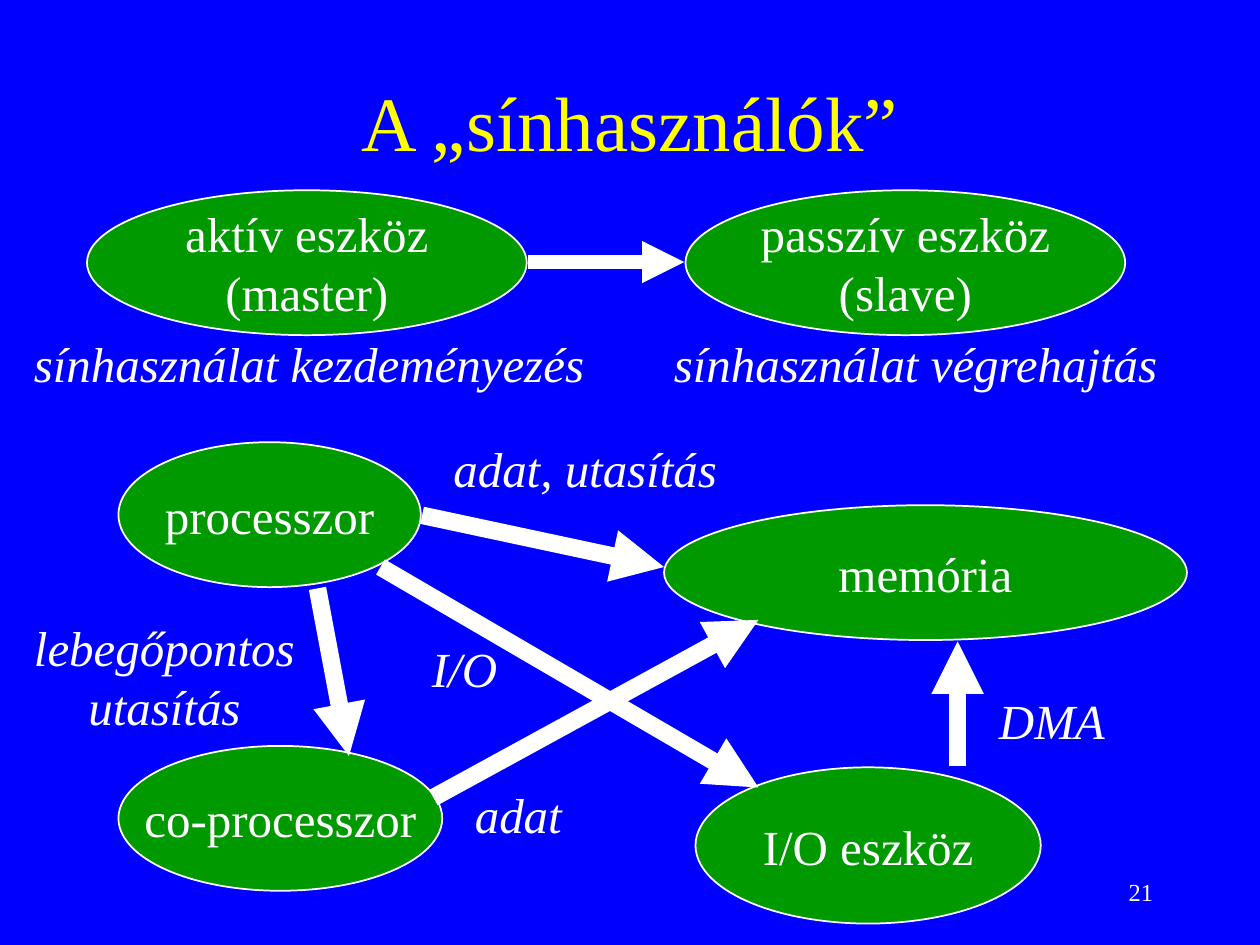
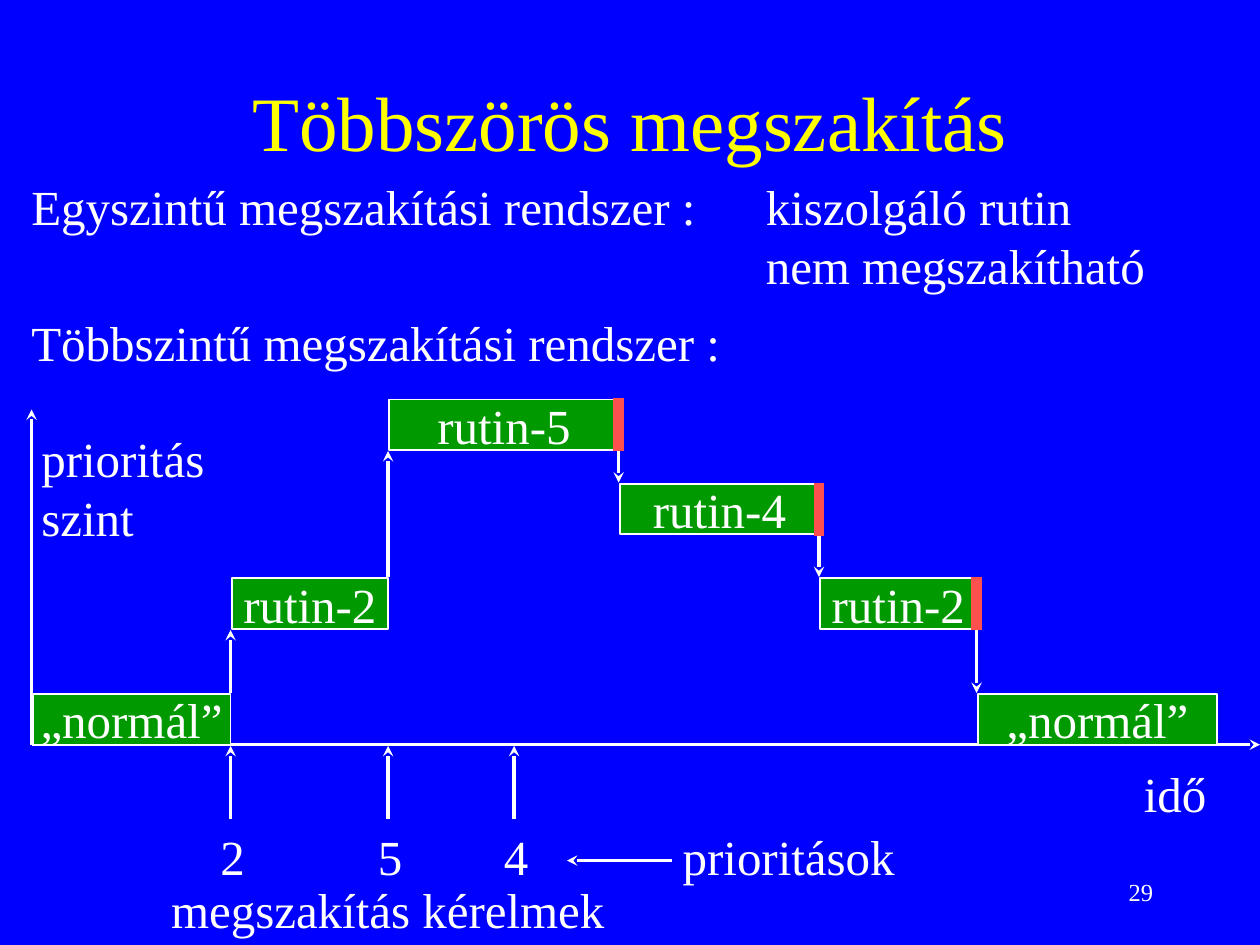
from dataclasses import dataclass
from itertools import pairwise
from typing import NamedTuple

from lxml.etree import SubElement
from pptx import Presentation
from pptx.dml.color import RGBColor
from pptx.enum.shapes import MSO_CONNECTOR as Connector, MSO_SHAPE as ShapeKind
from pptx.enum.text import MSO_ANCHOR as Anchor, MSO_AUTO_SIZE as AutoSize, PP_ALIGN as Align
from pptx.oxml.ns import qn
from pptx.shapes.autoshape import Shape
from pptx.slide import Slide
from pptx.util import Inches, Pt


@dataclass(frozen=True)
class Theme:
    font: str = "Times New Roman"
    background: RGBColor = RGBColor(0x00, 0x00, 0xFF)
    title: RGBColor = RGBColor(0xFF, 0xFF, 0x00)
    foreground: RGBColor = RGBColor(0xFF, 0xFF, 0xFF)
    node: RGBColor = RGBColor(0x00, 0x99, 0x00)
    routine_end: RGBColor = RGBColor(0xFF, 0x50, 0x50)
    title_size: int = 44
    body_size: int = 28
    number_size: int = 14
    outline: float = 1
    thin: float = 2
    end_bar: float = 6
    bus_arrow: float = 8
    data_arrow: float = 10


THEME = Theme()


class Box(NamedTuple):
    left: float
    top: float
    width: float
    height: float


class Point(NamedTuple):
    x: float
    y: float


class Node(NamedTuple):
    text: str
    box: Box


class Label(NamedTuple):
    text: str
    box: Box
    align: Align = Align.LEFT


class Arrow(NamedTuple):
    start: Point
    end: Point
    width: float = THEME.data_arrow


class Step(NamedTuple):
    """A routine that runs from start to end on the priority level at top."""
    text: str
    start: float
    end: float
    top: float


USER_NODES = [
    Node("processzor", Box(0.94, 3.51, 2.4, 1.15)),
    Node("memória", Box(5.27, 4.01, 4.15, 1.07)),
    Node("I/O eszköz", Box(5.52, 6.09, 2.74, 1.24)),
    Node("co-processzor", Box(0.94, 5.92, 2.57, 1.15)),
    Node("aktív eszköz\n(master)", Box(0.69, 1.51, 3.49, 1.15)),
    Node("passzív eszköz\n(slave)", Box(5.44, 1.51, 3.49, 1.15)),
]
USER_ARROWS = [
    Arrow(Point(2.52, 4.67), Point(2.77, 6)),
    Arrow(Point(3.35, 4.09), Point(5.27, 4.5)),
    Arrow(Point(3.44, 6.33), Point(6.02, 4.92)),
    Arrow(Point(7.6, 6.08), Point(7.6, 5.09)),
    Arrow(Point(3.02, 4.5), Point(6.02, 6.25)),
    Arrow(Point(4.19, 2.08), Point(5.43, 2.08), THEME.bus_arrow),
]
USER_LABELS = [
    Label("DMA", Box(7.83, 5.43, 1.04, 0.57)),
    Label("I/O", Box(3.33, 5.02, 0.72, 0.57)),
    Label("lebegőpontos\nutasítás", Box(0.17, 4.85, 2.27, 1.04), Align.CENTER),
    Label("adat, utasítás", Box(3.5, 3.43, 2.3, 0.57)),
    Label("adat", Box(3.67, 6.18, 0.89, 0.57)),
    Label("sínhasználat kezdeményezés", Box(0.17, 2.6, 4.57, 0.57)),
    Label("sínhasználat végrehajtás", Box(5.25, 2.6, 4.05, 0.57)),
]

LEVEL_HEIGHT = 0.42
EDGE = 0.01
ORIGIN = Point(0.25, 5.91)
STEPS = [
    Step("„normál”", 0.25, 1.83, 5.5),
    Step("rutin-2", 1.83, 3.08, 4.58),
    Step("rutin-5", 3.08, 4.91, 3.16),
    Step("rutin-4", 4.91, 6.5, 3.83),
    Step("rutin-2", 6.5, 7.75, 4.58),
    Step("„normál”", 7.75, 9.66, 5.5),
]
REQUESTS = {"2": 1.83, "5": 3.08, "4": 4.08}
INTERRUPT_LABELS = [
    Label("Többszintű megszakítási rendszer :", Box(0.15, 2.43, 5.67, 0.57)),
    Label("megszakítás kérelmek", Box(1.26, 6.93, 3.64, 0.57)),
    Label("idő", Box(8.98, 6.01, 0.7, 0.57)),
    Label("prioritás\nszint", Box(0.23, 3.35, 1.5, 1.04)),
    Label("prioritások", Box(5.32, 6.51, 1.88, 0.57)),
]


def set_column(paragraph, column: float) -> None:
    """Send text after a tab, or else the whole paragraph, to the column."""
    properties = paragraph._p.get_or_add_pPr()
    position = str(Inches(column))
    if "\t" in paragraph.text:
        tabs = SubElement(properties, qn("a:tabLst"))
        SubElement(tabs, qn("a:tab"), pos=position, algn="l")
    else:
        properties.set("marL", position)
        properties.set("indent", "0")


def write(shape: Shape, text: str, *, size: int = THEME.body_size,
          color: RGBColor = THEME.foreground, italic: bool = False,
          align: Align = Align.LEFT, anchor: Anchor = Anchor.TOP,
          wrap: bool = False, column: float | None = None) -> None:
    frame = shape.text_frame
    frame.word_wrap = wrap
    frame.vertical_anchor = anchor
    frame.text = text
    for paragraph in frame.paragraphs:
        if column is not None:
            set_column(paragraph, column)
        paragraph.alignment = align
        for run in paragraph.runs:
            run.font.name = THEME.font
            run.font.size = Pt(size)
            run.font.italic = italic
            run.font.color.rgb = color


def add_text(slide: Slide, text: str, box: Box, **text_format) -> Shape:
    shape = slide.shapes.add_textbox(*map(Inches, box))
    write(shape, text, **text_format)
    return shape


def add_label(slide: Slide, label: Label, **text_format) -> None:
    shape = add_text(slide, label.text, label.box, align=label.align, **text_format)
    shape.text_frame.auto_size = AutoSize.SHAPE_TO_FIT_TEXT


def add_node(slide: Slide, kind: ShapeKind, node: Node) -> None:
    shape = slide.shapes.add_shape(kind, *map(Inches, node.box))
    shape.shadow.inherit = False
    shape.fill.solid()
    shape.fill.fore_color.rgb = THEME.node
    shape.line.color.rgb = THEME.foreground
    shape.line.width = Pt(THEME.outline)
    write(shape, node.text, align=Align.CENTER, anchor=Anchor.MIDDLE)


def add_line(slide: Slide, start: Point, end: Point, width: float = THEME.thin,
             color: RGBColor = THEME.foreground, head: str | None = "stealth") -> None:
    line = slide.shapes.add_connector(Connector.STRAIGHT, *map(Inches, (*start, *end)))
    line.line.color.rgb = color
    line.line.width = Pt(width)
    if head:
        SubElement(line.line._get_or_add_ln(), qn("a:tailEnd"), type=head)
    SubElement(line._element.spPr, qn("a:effectLst"))


def add_slide(presentation: Presentation, title: str, number: int) -> Slide:
    slide = presentation.slides.add_slide(presentation.slide_layouts[6])
    slide.background.fill.solid()
    slide.background.fill.fore_color.rgb = THEME.background
    add_text(slide, title, Box(0.75, 0.33, 8.5, 1.25), size=THEME.title_size,
             color=THEME.title, align=Align.CENTER, anchor=Anchor.MIDDLE, wrap=True)
    add_text(slide, str(number), Box(7.17, 6.83, 2.08, 0.5), size=THEME.number_size,
             align=Align.RIGHT, anchor=Anchor.MIDDLE, wrap=True)
    return slide


def build_bus_users(presentation: Presentation) -> None:
    slide = add_slide(presentation, "A „sínhasználók”", 21)
    for node in USER_NODES:
        add_node(slide, ShapeKind.OVAL, node)
    for arrow in USER_ARROWS:
        add_line(slide, *arrow, head="triangle")
    for label in USER_LABELS:
        add_label(slide, label, italic=True)


def add_timeline(slide: Slide) -> None:
    add_line(slide, ORIGIN, Point(10, ORIGIN.y))
    add_line(slide, ORIGIN, Point(ORIGIN.x, 3.25))
    for step in STEPS:
        box = Box(step.start + EDGE, step.top + EDGE, step.end - step.start - EDGE, 0.4)
        add_node(slide, ShapeKind.RECTANGLE, Node(step.text, box))
    for step, following in pairwise(STEPS):
        time = step.end
        bottom = step.top + LEVEL_HEIGHT
        if following.top < step.top:
            add_line(slide, Point(time, step.top),
                     Point(time, following.top + LEVEL_HEIGHT))
        else:
            add_line(slide, Point(time, step.top), Point(time, bottom),
                     THEME.end_bar, THEME.routine_end, head=None)
            add_line(slide, Point(time, bottom), Point(time, following.top))


def build_interrupts(presentation: Presentation) -> None:
    slide = add_slide(presentation, "Többszörös megszakítás", 29)
    add_text(slide, "Egyszintű megszakítási rendszer :\tkiszolgáló rutin\nnem megszakítható",
             Box(0.15, 1.35, 9.5, 1.04), wrap=True, column=5.83)
    add_timeline(slide)
    for priority, time in REQUESTS.items():
        add_line(slide, Point(time, 6.5), Point(time, 5.92))
        add_label(slide, Label(priority, Box(time - 0.18, 6.51, 0.4, 0.57)))
    add_line(slide, Point(5.33, 6.83), Point(4.5, 6.83))
    for label in INTERRUPT_LABELS:
        add_label(slide, label)


def main() -> None:
    presentation = Presentation()
    presentation.slide_width = Inches(10)
    presentation.slide_height = Inches(7.5)
    build_bus_users(presentation)
    build_interrupts(presentation)
    presentation.save("out.pptx")


if __name__ == "__main__":
    main()
